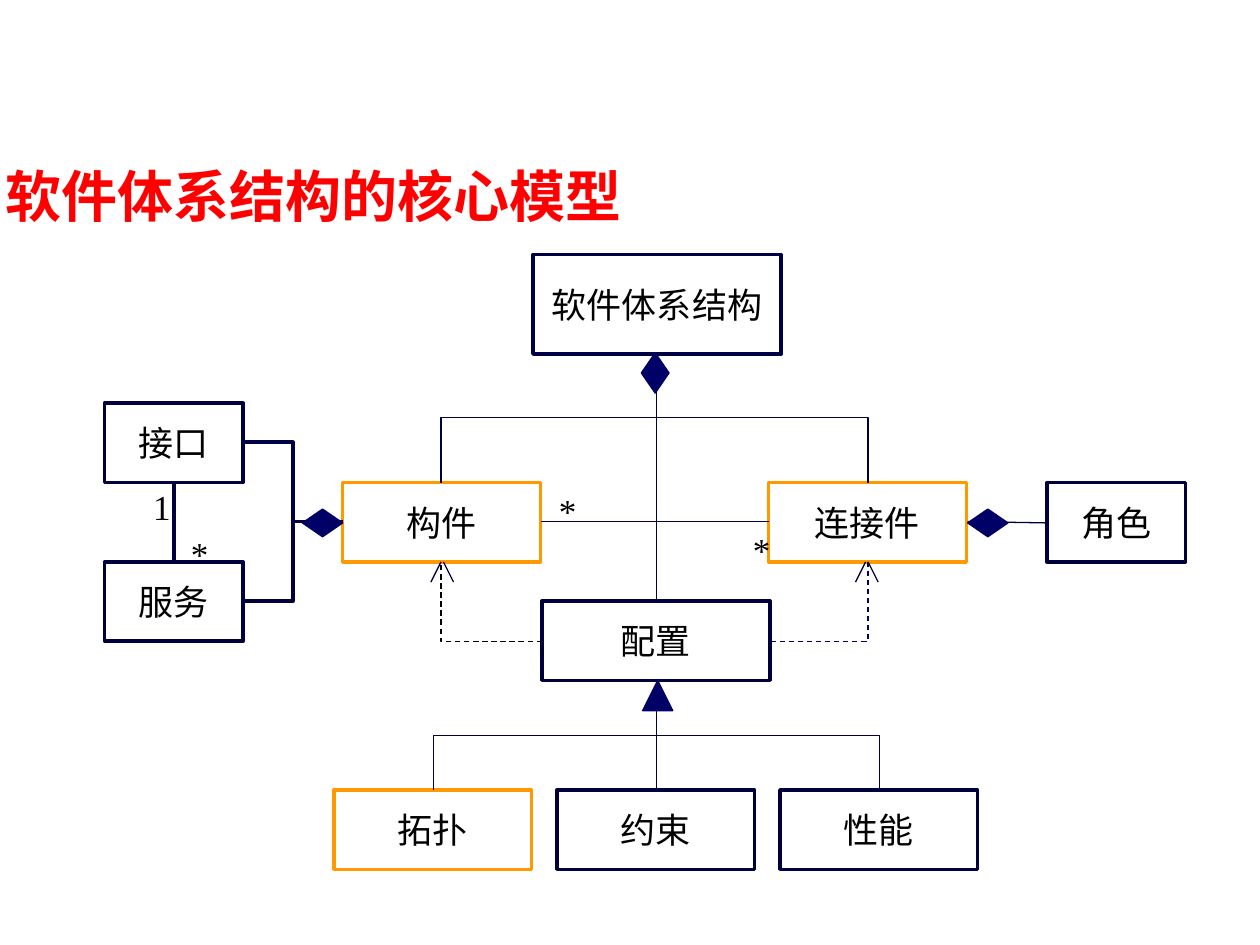
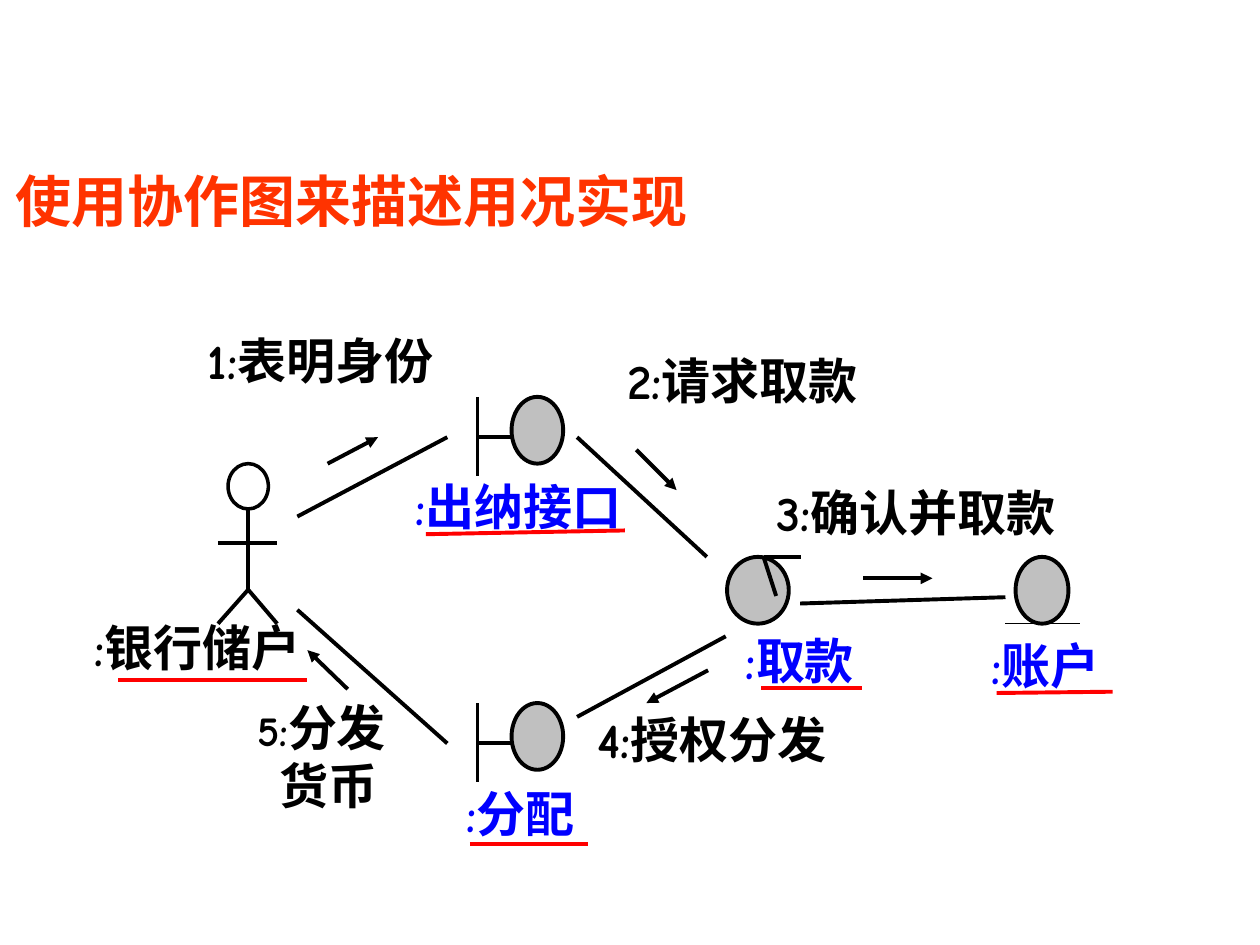
import pptx
import pptx.dml.color
import pptx.enum.dml
import pptx.enum.shapes
import pptx.enum.text
import pptx.oxml.ns
import pptx.oxml.xmlchemy
import pptx.util

Inches = pptx.util.Inches
Pt = pptx.util.Pt
SHAPE = pptx.enum.shapes.MSO_SHAPE
CONNECTOR = pptx.enum.shapes.MSO_CONNECTOR
ALIGN = pptx.enum.text.PP_ALIGN
color = pptx.dml.color.RGBColor.from_string
new_element = pptx.oxml.xmlchemy.OxmlElement

SERIF, COMIC = "Times New Roman", "Comic Neue"
NAVY, DEEP_NAVY, BLUE_BLACK = "00003D", "000066", "000044"
ORANGE, RED, BLUE = "FF9900", "FF0000", "0000FF"
BLACK, WHITE, GRAY = "000000", "FFFFFF", "C0C0C0"


def add_box(page, place, text="", kind=None, fill=None, outline=BLACK, width=2,
            font=SERIF, size=20, ink=BLACK, bold=False, align=ALIGN.CENTER, inset=0.1):
    """Add a shape of the given kind, or a text box when kind is None."""
    place = [Inches(value) for value in place]
    if kind is None:
        box = page.shapes.add_textbox(*place)
    else:
        box = page.shapes.add_shape(kind, *place)
        box.shadow.inherit = False
        if fill:
            box.fill.solid()
            box.fill.fore_color.rgb = color(fill)
        else:
            box.fill.background()
        box.line.color.rgb = color(outline)
        box.line.width = Pt(width)
    if text:
        frame = box.text_frame
        frame.word_wrap = kind is None
        frame.margin_left = frame.margin_right = Inches(inset)
        frame.vertical_anchor = pptx.enum.text.MSO_ANCHOR.MIDDLE
        frame.text = text
        for para in frame.paragraphs:
            para.alignment = align
            para.font.name = font
            para.font.size = Pt(size)
            para.font.bold = bold
            para.font.color.rgb = color(ink)
    return box


def add_line(page, start, end, ink=BLACK, width=2.25, route="line", dashed=False, arrow=False):
    """Routes: line, sideways (across-down-across), drop (down-across-down), corner (across-up)."""
    (x1, y1), (x2, y2) = start, end
    if route == "drop":
        # An elbow lying on its side is turned by 90 degrees about its centre.
        mid_x, mid_y, half_x, half_y = (x1 + x2) / 2, (y1 + y2) / 2, (x2 - x1) / 2, (y2 - y1) / 2
        x1, y1, x2, y2 = mid_x - half_y, mid_y + half_x, mid_x + half_y, mid_y - half_x
    kind = CONNECTOR.STRAIGHT if route == "line" else CONNECTOR.ELBOW
    line = page.shapes.add_connector(kind, *[Inches(value) for value in (x1, y1, x2, y2)])
    line.line.color.rgb = color(ink)
    line.line.width = Pt(width)
    properties = line._element.spPr
    if route == "drop":
        properties.find(pptx.oxml.ns.qn("a:xfrm")).set("rot", "5400000")
    if route == "corner":
        properties.find(pptx.oxml.ns.qn("a:prstGeom")).set("prst", "bentConnector2")
    if dashed:
        line.line.dash_style = pptx.enum.dml.MSO_LINE.DASH
    if arrow:
        tail = new_element("a:tailEnd")
        tail.set("type", "triangle")
        properties.find(pptx.oxml.ns.qn("a:ln")).append(tail)
    properties.append(new_element("a:effectLst"))


deck = pptx.Presentation()
deck.slide_width, deck.slide_height = Inches(10), Inches(7.5)
pages = []
for title, place, ink in [
    ("软件体系结构的核心模型", (0.04, 1.23, 7.51, 0.64), RED),
    ("使用协作图来描述用况实现", (0.12, 1.27, 7.13, 0.64), "FF3300"),
]:
    page = deck.slides.add_slide(deck.slide_layouts[6])
    add_box(page, place, title, size=32, ink=ink, bold=True, align=ALIGN.LEFT, inset=0)
    pages.append(page)
model, collaboration = pages

# Slide 1: core model of a software architecture
ROW = 0.63
for name, left, top, width, height, outline in [
    ("软件体系结构", 4.23, 2.02, 1.97, 0.79, BLUE_BLACK),
    ("构件", 2.72, 3.83, 1.57, ROW, ORANGE),
    ("连接件", 6.1, 3.83, 1.57, ROW, ORANGE),
    ("接口", 0.83, 3.2, 1.1, ROW, NAVY),
    ("服务", 0.83, 4.46, 1.1, ROW, NAVY),
    ("角色", 8.31, 3.83, 1.1, ROW, NAVY),
    ("配置", 4.3, 4.77, 1.81, ROW, NAVY),
]:
    add_box(model, (left, top, width, height), name, SHAPE.RECTANGLE, WHITE, outline)
for column, name in enumerate(["拓扑", "约束", "性能"]):
    add_box(model, (2.65 + 1.77 * column, 6.27, 1.57, ROW), name, SHAPE.RECTANGLE, WHITE,
            NAVY if column else ORANGE)

AXIS = 5.21
for child in (3.5, 6.89):
    add_line(model, (AXIS, 2.8), (child, 3.83), NAVY, 0.75, "drop")
for child in (AXIS - 1.77, AXIS + 1.77):
    add_line(model, (AXIS, 5.4), (child, 6.27), NAVY, 0.75, "drop")
for part_y, ink in ((3.51, BLUE_BLACK), (4.77, NAVY)):
    add_line(model, (2.72, 4.14), (1.93, part_y), ink, 2, "sideways")
add_line(model, (1.38, 3.83), (1.38, 4.46), NAVY, 2)
for start, end in [
    ((AXIS, 2.8), (AXIS, 4.77)),
    ((AXIS, 5.4), (AXIS, 6.27)),
    ((4.29, 4.14), (6.1, 4.14)),
    ((7.68, 4.14), (8.31, 4.15)),
]:
    add_line(model, start, end, NAVY, 0.75)
for edge, target, ink in ((4.3, 3.5, BLACK), (6.12, 6.89, DEEP_NAVY)):
    add_line(model, (edge, 5.09), (target, 4.46), ink, 0.75, "corner", dashed=True)
for tip in (3.51, 6.88):
    for side in (-1, 1):
        add_line(model, (tip + 0.01 * side, 4.46), (tip + 0.09 * side, 4.62), NAVY, 0.75)

add_box(model, (5.1, 5.4, 0.24, 0.24), "", SHAPE.ISOSCELES_TRIANGLE, DEEP_NAVY, DEEP_NAVY, 0.75)
for left, top, turn in ((5.04, 2.85, 90), (2.4, 4.04, 0), (7.68, 4.04, 0)):
    diamond = add_box(model, (left, top, 0.32, 0.22), "", SHAPE.DIAMOND,
                      DEEP_NAVY, DEEP_NAVY, 0.75)
    diamond.rotation = turn
for count, left, top in (("1", 1.06, 3.8), ("*", 1.36, 4.17), ("*", 4.28, 3.83), ("*", 5.82, 4.14)):
    add_box(model, (left, top, 0.45, 0.44), count)

# Slide 2: collaboration diagram of a withdrawal
add_box(collaboration, (1.81, 3.68, 0.32, 0.36), "", SHAPE.OVAL)
for left, top, width in ((4.06, 3.15, 0.41), (4.06, 5.58, 0.41), (5.77, 4.42, 0.49), (8.06, 4.42, 0.42)):
    add_box(collaboration, (left, top, width, 0.53), "", SHAPE.OVAL, GRAY, BLACK, 2.25)

actor = [((1.73, 4.31), (2.2, 4.31)), ((1.97, 4.04), (1.97, 4.68)),
         ((1.73, 4.95), (1.97, 4.68)), ((2.2, 4.95), (1.97, 4.68))]
control = [((6.06, 4.42), (6.36, 4.42)), ((6.06, 4.42), (6.16, 4.73))]
links = [((2.36, 4.1), (3.55, 3.47)), ((4.58, 5.69), (5.76, 5.05)), ((2.36, 4.84), (3.55, 5.9)),
         ((4.58, 3.47), (5.61, 4.42)), ((6.35, 4.79), (7.98, 4.74))]
for start, end in actor + control + links:
    add_line(collaboration, start, end)
for top in (3.15, 5.58):
    add_line(collaboration, (3.79, top), (3.79, top + 0.63))
    add_line(collaboration, (4.06, top + 0.32), (3.79, top + 0.32))
add_line(collaboration, (7.98, 4.95), (8.57, 4.95), width=0.75)

for label, left, top, width, ink in [
    (":出纳接口", 3.3, 3.73, 2.43, BLUE),
    ("2:请求取款", 4.98, 2.73, 2.85, BLACK),
    ("3:确认并取款", 6.16, 3.78, 3.36, BLACK),
    (":取款", 5.92, 4.95, 1.63, BLUE),
    (":账户", 7.87, 4.99, 1.46, BLUE),
    (":分配", 3.7, 6.17, 1.42, BLUE),
    (":银行储户", 0.75, 4.85, 1.74, BLACK),
    ("1:表明身份", 1.65, 2.57, 2.16, BLACK),
    ("4:授权分发", 4.74, 5.58, 3.36, BLACK),
]:
    add_box(collaboration, (left, top, width, 0.57), label, font=COMIC, size=28, ink=ink,
            bold=True, align=ALIGN.LEFT, inset=0)

payout = add_box(collaboration, (2.04, 5.48, 1.51, 1.04), "5:\n货币", font=COMIC, size=28,
                 bold=True, align=ALIGN.LEFT, inset=0)
first, second = payout.text_frame.paragraphs
first.runs[0].font.size = Pt(24)
first.add_run().text = "分发"
second._p.get_or_add_pPr().set("marL", str(Inches(0.18)))

for start, end in [
    ((2.6, 3.68), (3, 3.47)),
    ((5.05, 3.57), (5.37, 3.89)),
    ((6.85, 4.59), (7.4, 4.59)),
    ((5.62, 5.32), (5.13, 5.58)),
    ((2.76, 5.47), (2.44, 5.16)),
]:
    add_line(collaboration, start, end, arrow=True)
for start, end in [
    ((3.38, 4.24), (4.96, 4.21)),
    ((6.04, 5.46), (6.84, 5.46)),
    ((7.91, 5.5), (8.83, 5.49)),
    ((3.73, 6.7), (4.67, 6.7)),
    ((0.94, 5.4), (2.44, 5.4)),
]:
    add_line(collaboration, start, end, RED)

deck.save("out.pptx")
